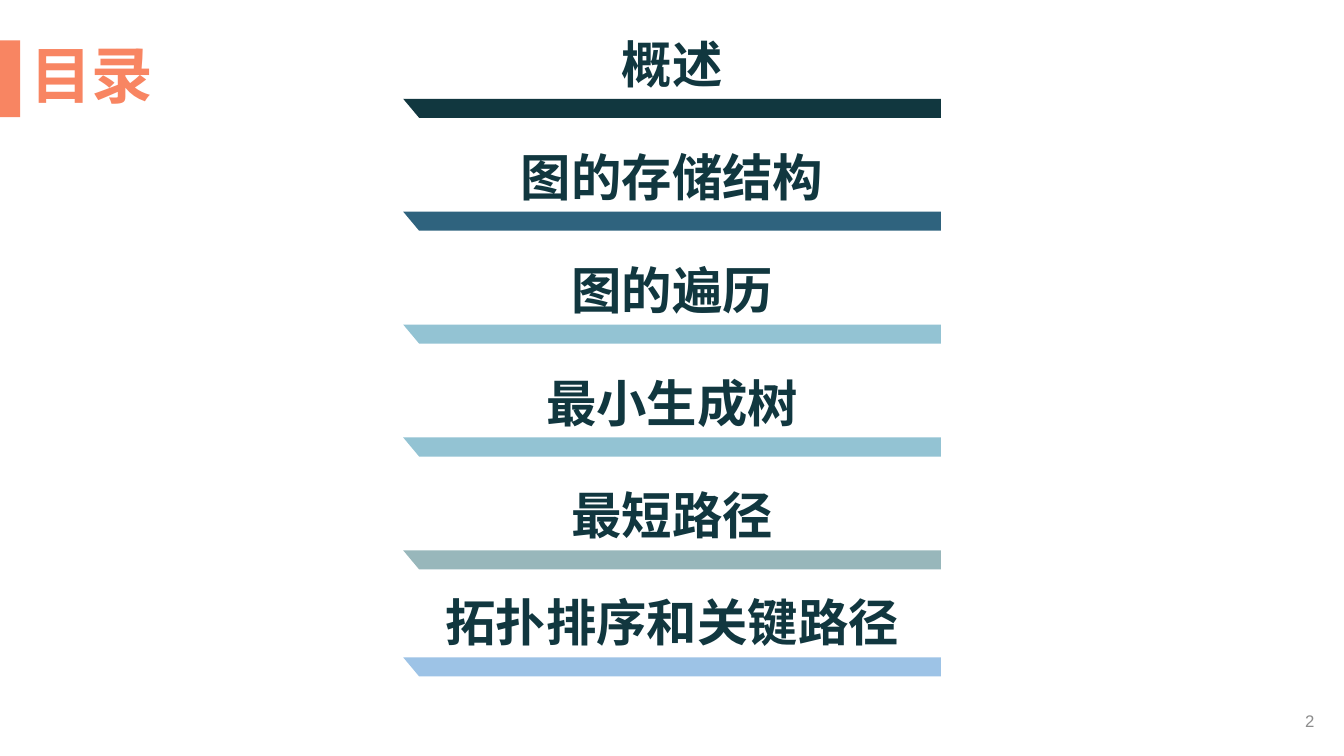
from lxml.etree import SubElement
from pptx import Presentation
from pptx.dml.color import RGBColor
from pptx.enum.shapes import MSO_SHAPE
from pptx.enum.text import MSO_ANCHOR, PP_ALIGN
from pptx.oxml.ns import qn
from pptx.util import Pt

COLORS = {
    "coral": "F88562",
    "ink": "11373F",
    "navy": "2F637E",
    "sky": "93C3D3",
    "sage": "98B7BB",
    "light_blue": "9DC3E6",
    "gray": "8C8C8C",
}
CHINESE_FONT = "Noto Sans CJK SC"
CHAPTERS = [
    ("概述", "ink"),
    ("图的存储结构", "navy"),
    ("图的遍历", "sky"),
    ("最小生成树", "sky"),
    ("最短路径", "sage"),
    ("拓扑排序和关键路径", "light_blue"),
]
BAR_LEFT, BAR_WIDTH, BAR_HEIGHT, BAR_NOTCH = 288, 384, 13.6, 11.4
FIRST_BAR_TOP, LAST_BAR_TOP, BAR_STEP = 70.6, 469.6, 80.64
CHAPTER_HEIGHT = 51


def paint(shape, color):
    """Fill a shape with a flat colour, without line or shadow."""
    shape.fill.solid()
    shape.fill.fore_color.rgb = RGBColor.from_string(COLORS[color])
    shape.line.fill.background()
    shape.shadow.inherit = False


def add_text(slide, text, left, top, width, height, *, size, color,
             font="Arial", bold=False, align=PP_ALIGN.LEFT, line_spacing=1.0):
    """Add a vertically centred one-paragraph text box."""
    box = slide.shapes.add_textbox(Pt(left), Pt(top), Pt(width), Pt(height))
    frame = box.text_frame
    frame.word_wrap = True
    frame.vertical_anchor = MSO_ANCHOR.MIDDLE
    paragraph = frame.paragraphs[0]
    paragraph.alignment = align
    paragraph.line_spacing = line_spacing
    run = paragraph.add_run()
    run.text = text
    run.font.size = Pt(size)
    run.font.bold = bold
    run.font.name = font
    run.font.color.rgb = RGBColor.from_string(COLORS[color])
    east_asian = SubElement(run.font._element, qn("a:ea"))
    east_asian.set("typeface", CHINESE_FONT)


def add_bar(slide, top, color):
    """Add a bar whose left end is cut at a slant."""
    right, bottom = BAR_LEFT + BAR_WIDTH, top + BAR_HEIGHT
    corners = [(right, top), (right, bottom), (BAR_LEFT + BAR_NOTCH, bottom)]
    builder = slide.shapes.build_freeform(Pt(BAR_LEFT), Pt(top))
    builder.add_line_segments([(Pt(x), Pt(y)) for x, y in corners], close=True)
    paint(builder.convert_to_shape(), color)


def add_chapter(slide, text, bar_top, color):
    """Add a chapter name standing on its bar."""
    add_bar(slide, bar_top, color)
    add_text(slide, text, BAR_LEFT, bar_top - CHAPTER_HEIGHT, BAR_WIDTH,
             CHAPTER_HEIGHT, size=36, color="ink", font=CHINESE_FONT,
             bold=True, align=PP_ALIGN.CENTER)


def main():
    """Build the contents slide and save it."""
    presentation = Presentation()
    presentation.slide_width, presentation.slide_height = Pt(960), Pt(540)
    slide = presentation.slides.add_slide(presentation.slide_layouts[6])

    accent = slide.shapes.add_shape(
        MSO_SHAPE.RECTANGLE, Pt(0), Pt(28.8), Pt(14.4), Pt(55))
    paint(accent, "coral")
    add_text(slide, "目录", 14.4, 28.2, 931.6, 55.4, size=44, color="coral",
             bold=True, line_spacing=0.9)
    add_text(slide, "2", 730, 500.5, 216, 28.75, size=12, color="gray",
             align=PP_ALIGN.RIGHT)

    for index, (text, color) in enumerate(CHAPTERS):
        bar_top = min(FIRST_BAR_TOP + index * BAR_STEP, LAST_BAR_TOP)
        add_chapter(slide, text, bar_top, color)

    presentation.save("out.pptx")


if __name__ == "__main__":
    main()
